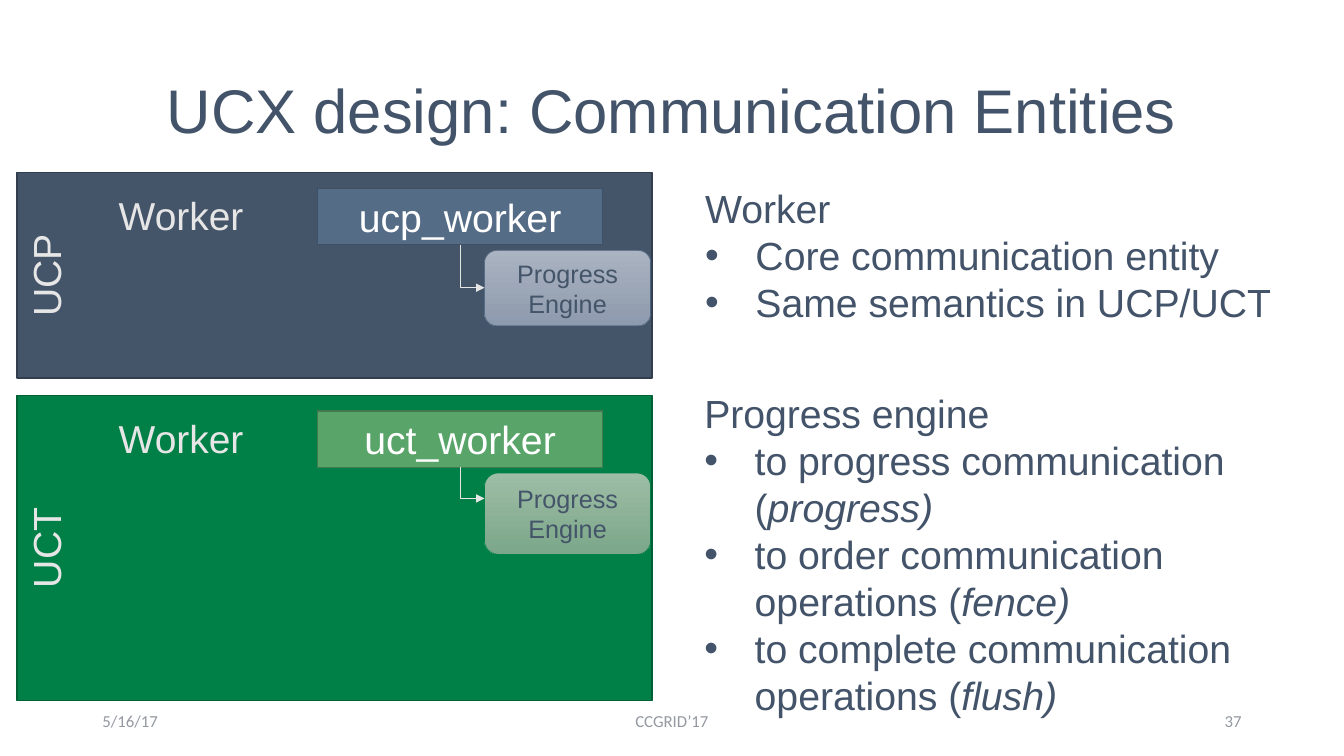
from lxml.etree import SubElement
from pptx import Presentation
from pptx.dml.color import RGBColor
from pptx.enum.shapes import MSO_CONNECTOR, MSO_SHAPE
from pptx.enum.text import MSO_ANCHOR, PP_ALIGN
from pptx.oxml.ns import qn
from pptx.util import Cm, Pt

INK = RGBColor(0x43, 0x53, 0x69)
ENGINE_INK = RGBColor(0x44, 0x54, 0x69)
FOOTER_GREY = RGBColor(0x94, 0x99, 0xA1)
PALE = RGBColor(0xE7, 0xE6, 0xE6)
WHITE = RGBColor(0xFF, 0xFF, 0xFF)
SLATE = RGBColor(0x44, 0x54, 0x69)
SLATE_EDGE = RGBColor(0x32, 0x3E, 0x4E)
BLUE = RGBColor(0x55, 0x6C, 0x87)
BLUE_EDGE = RGBColor(0x3F, 0x50, 0x64)
BLUE_LIGHT = RGBColor(0xAA, 0xB3, 0xC1)
BLUE_DARK = RGBColor(0x8E, 0x9A, 0xAD)
GREEN = RGBColor(0x00, 0x80, 0x47)
GREEN_EDGE = RGBColor(0x00, 0x5F, 0x35)
LEAF = RGBColor(0x59, 0xA4, 0x69)
LEAF_EDGE = RGBColor(0x42, 0x79, 0x4E)
LEAF_LIGHT = RGBColor(0x9D, 0xBD, 0xA6)
LEAF_DARK = RGBColor(0x7C, 0xA7, 0x89)


def style(p, size, color, font="Arial", align=PP_ALIGN.LEFT):
    p.alignment = align
    for r in p.runs:
        r.font.size = Pt(size)
        r.font.name = font
        r.font.color.rgb = color


def add_label(s, box, text, size, color, font="Arial", align=PP_ALIGN.CENTER,
              anchor=MSO_ANCHOR.TOP):
    tf = s.shapes.add_textbox(*map(Cm, box)).text_frame
    tf.word_wrap = True
    tf.vertical_anchor = anchor
    tf.text = text
    style(tf.paragraphs[0], size, color, font, align)
    return tf


def add_box(s, kind, box, line, width, text="", size=28, color=WHITE):
    sp = s.shapes.add_shape(kind, *map(Cm, box))
    sp.shadow.inherit = False
    sp.line.color.rgb = line
    sp.line.width = Pt(width)
    if text:
        tf = sp.text_frame
        tf.word_wrap = True
        tf.vertical_anchor = MSO_ANCHOR.MIDDLE
        tf.text = text
        style(tf.paragraphs[0], size, color, align=PP_ALIGN.CENTER)
    return sp


def add_solid(s, box, fill, line, text=""):
    sp = add_box(s, MSO_SHAPE.RECTANGLE, box, line, 1, text)
    sp.fill.solid()
    sp.fill.fore_color.rgb = fill


def add_bent_arrow(s, x, y, run, drop):
    """Go down by drop from (x, y), then right by run."""
    cx, cy = x + run / 2, y + drop / 2
    c = s.shapes.add_connector(MSO_CONNECTOR.ELBOW, Cm(cx + drop / 2), Cm(cy - run / 2),
                               Cm(cx - drop / 2), Cm(cy + run / 2))
    c.line.color.rgb = PALE
    c.line.width = Pt(0.5)
    # One bend, turned a quarter, with an arrowhead and no shadow
    props = c._element.spPr
    props.find(qn("a:xfrm")).set("rot", "16200000")
    props.find(qn("a:prstGeom")).set("prst", "bentConnector2")
    SubElement(props.find(qn("a:ln")), qn("a:tailEnd"), type="triangle")
    SubElement(props, qn("a:effectLst"))


def add_layer(s, box, name, worker, panel, worker_colors, engine_colors, engine_h, drop):
    x, y, w, h = box
    # Panel and its sideways name
    add_solid(s, box, *panel)
    tf = add_label(s, (x, y, 1.7, h), name, 28, PALE)
    tf._txBody.bodyPr.set("vert", "vert270")
    # Worker
    add_label(s, (x + 1.9, y + 0.36, 4.47, 1.37), "Worker", 27.8, PALE)
    add_solid(s, (x + 7.57, y + 0.4, 7.19, 1.42), *worker_colors, worker)
    # Progress engine
    light, dark, edge = engine_colors
    engine = add_box(s, MSO_SHAPE.ROUNDED_RECTANGLE, (x + 11.78, y + 1.96, 4.19, engine_h),
                     edge, 0.5, "Progress Engine", 18, ENGINE_INK)
    engine.fill.gradient()
    engine.fill.gradient_angle = 270
    for stop, color in zip(engine.fill.gradient_stops, (light, dark)):
        stop.color.rgb = color
    add_bent_arrow(s, x + 11.17, y + 1.82, 0.61, drop)


def add_notes_block(s, box, heading, bullets):
    tf = add_label(s, box, heading, 28, INK, align=PP_ALIGN.LEFT)
    for plain, italic in bullets:
        p = tf.add_paragraph()
        p.text = plain
        if italic:
            r = p.add_run()
            r.text = italic
            r.font.italic = True
        pPr = p._p.get_or_add_pPr()
        pPr.set("marL", str(Cm(1.27)))
        pPr.set("indent", str(-Cm(1.27)))
        SubElement(pPr, qn("a:buFont"), typeface="Arial")
        SubElement(pPr, qn("a:buChar"), char="•")
        style(p, 28, INK)


def add_footer(s, box):
    x, y, w, h = box
    parts = [("5/16/17", 0, 7.62, PP_ALIGN.LEFT),
             ("CCGRID’17", (w - 11.43) / 2, 11.43, PP_ALIGN.CENTER),
             ("37", w - 7.62, 7.62, PP_ALIGN.RIGHT)]
    for text, dx, width, align in parts:
        add_label(s, (x + dx, y, width, h), text, 12, FOOTER_GREY, "Calibri", align,
                  MSO_ANCHOR.MIDDLE)


def main():
    prs = Presentation()
    prs.slide_width, prs.slide_height = Cm(33.87), Cm(19.05)
    s = prs.slides.add_slide(prs.slide_layouts[6])

    # Title and footer
    tf = add_label(s, (2.33, 1.01, 29.21, 3.68), "UCX design: Communication Entities",
                   44, INK, anchor=MSO_ANCHOR.MIDDLE)
    tf.paragraphs[0].line_spacing = 0.9
    add_footer(s, (2.33, 17.66, 29.21, 1.01))

    # Layers on the left
    add_layer(s, (0.43, 4.35, 16, 5.18), "UCP", "ucp_worker", (SLATE, SLATE_EDGE),
              (BLUE, BLUE_EDGE), (BLUE_LIGHT, BLUE_DARK, BLUE), 1.9, 1.08)
    add_layer(s, (0.43, 9.96, 16, 7.7), "UCT", "uct_worker", (GREEN, GREEN_EDGE),
              (LEAF, LEAF_EDGE), (LEAF_LIGHT, LEAF_DARK, GREEN), 2.05, 0.78)

    # Explanations on the right
    add_notes_block(s, (17.52, 4.52, 15.75, 3.84), "Worker",
                    [("Core communication entity", ""), ("Same semantics in UCP/UCT", "")])
    add_notes_block(s, (17.5, 9.68, 15.77, 8.64), "Progress engine",
                    [("to progress communication (", "progress)"),
                     ("to order communication operations (", "fence)"),
                     ("to complete communication operations (", "flush)")])

    prs.save("out.pptx")


if __name__ == "__main__":
    main()
